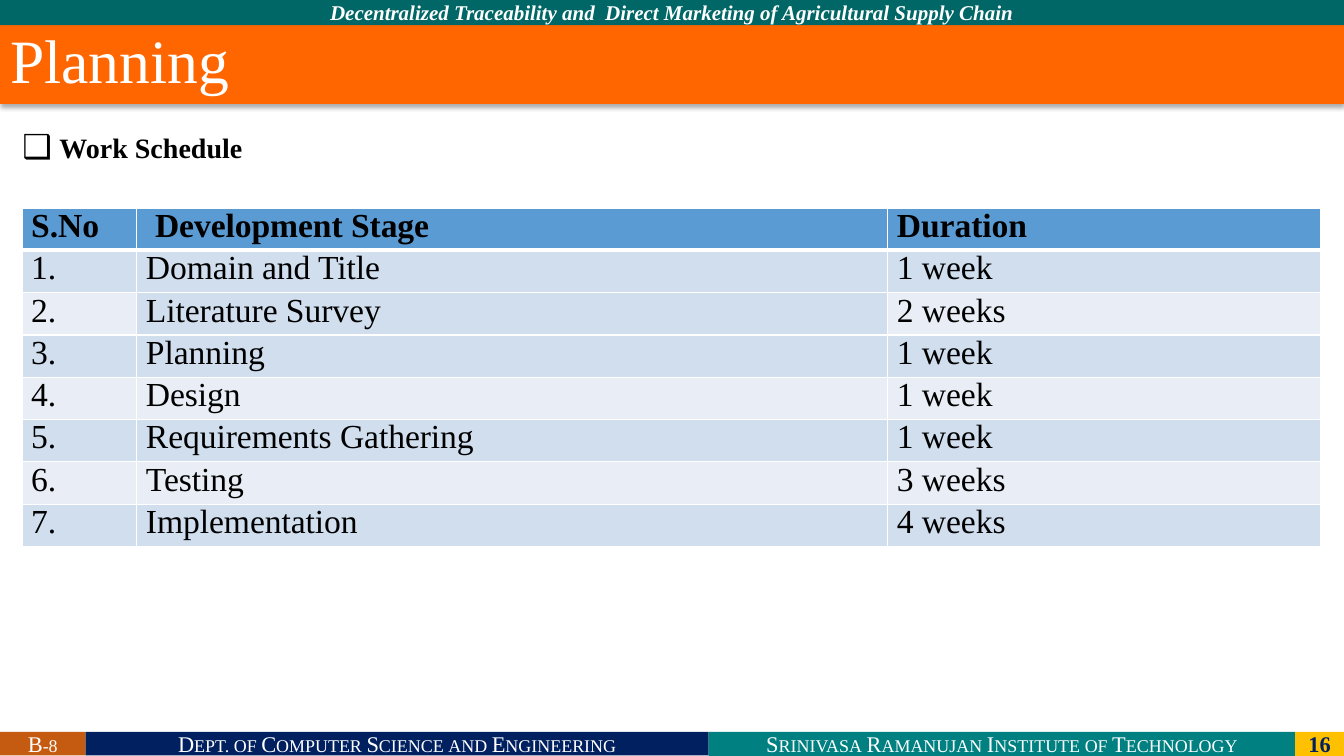
from typing import NamedTuple

from lxml import etree
from pptx import Presentation
from pptx.dml.color import RGBColor
from pptx.enum.shapes import MSO_SHAPE
from pptx.enum.text import MSO_ANCHOR, MSO_AUTO_SIZE, PP_ALIGN
from pptx.oxml.ns import qn
from pptx.util import Pt

RECTANGLE = MSO_SHAPE.RECTANGLE
TOP, MIDDLE = MSO_ANCHOR.TOP, MSO_ANCHOR.MIDDLE
CENTER, JUSTIFY = PP_ALIGN.CENTER, PP_ALIGN.JUSTIFY
NO_AUTOFIT = MSO_AUTO_SIZE.NONE

FONT = "Times New Roman"
WHITE = RGBColor(0xFF, 0xFF, 0xFF)
BLACK = RGBColor(0x00, 0x00, 0x00)
NAVY = RGBColor(0x00, 0x20, 0x60)
TEAL = RGBColor(0x00, 0x80, 0x80)
DARK_TEAL = RGBColor(0x00, 0x66, 0x66)
GOLD = RGBColor(0xFF, 0xC0, 0x00)
BROWN = RGBColor(0xC5, 0x5A, 0x11)
ORANGE = RGBColor(0xFF, 0x66, 0x00)
HEADER_BLUE = RGBColor(0x5B, 0x9B, 0xD4)
BAND_DARK = RGBColor(0xD0, 0xDE, 0xEE)
BAND_LIGHT = RGBColor(0xE9, 0xEE, 0xF6)

PAGE_WIDTH, PAGE_HEIGHT = 960, 540
FOOTER_TOP = 522.7
ROW_HEIGHT = 30.24
COLUMN_WIDTHS = (82, 536.4, 308.9)


class Bar(NamedTuple):
    text: str
    left: float
    top: float
    width: float
    height: float
    fill: RGBColor
    color: RGBColor = WHITE
    size: float = 16
    bold: bool = False
    italic: bool = False
    small_caps: bool = False


BARS = (
    Bar("Decentralized Traceability and  Direct Marketing of Agricultural Supply Chain",
        0, 0, PAGE_WIDTH, 18, DARK_TEAL, size=15, bold=True, italic=True),
    Bar("B-8", 0, FOOTER_TOP, 61.2, 16.9, BROWN, small_caps=True),
    Bar("Dept. of Computer Science and Engineering",
        61.2, FOOTER_TOP, 445, 16.9, NAVY, small_caps=True),
    Bar("Srinivasa Ramanujan Institute of Technology",
        506.2, FOOTER_TOP, 419, 17.3, TEAL, small_caps=True),
    Bar("16", 925.2, FOOTER_TOP, 34.8, 17.3, GOLD, color=NAVY, bold=True),
)

SCHEDULE = (
    ("S.No", "Development Stage", "Duration"),
    ("1.", "Domain and Title", "1 week"),
    ("2.", "Literature Survey", "2 weeks"),
    ("3.", "Planning", "1 week"),
    ("4.", "Design", "1 week"),
    ("5.", "Requirements Gathering", "1 week"),
    ("6.", "Testing", "3 weeks"),
    ("7.", "Implementation", "4 weeks"),
)


def style_text(para, size: float, color: RGBColor, bold: bool = False,
               italic: bool = False, **attributes: str) -> None:
    for span in para.runs:
        font = span.font
        font.name, font.size = FONT, Pt(size)
        font.bold, font.italic = bold, italic
        font.color.rgb = color
        for name, value in attributes.items():
            font._element.set(name, value)


def place(box, left: float, top: float, width: float, height: float) -> None:
    box.left, box.top = Pt(left), Pt(top)
    box.width, box.height = Pt(width), Pt(height)


def draw_bar(page, bar: Bar) -> None:
    box = page.shapes.add_shape(RECTANGLE, Pt(bar.left), Pt(bar.top),
                                Pt(bar.width), Pt(bar.height))
    box.shadow.inherit = False
    box.fill.solid()
    box.fill.fore_color.rgb = bar.fill
    box.line.fill.background()
    frame = box.text_frame
    frame.text = bar.text
    frame.vertical_anchor = MIDDLE
    para = frame.paragraphs[0]
    para.alignment = CENTER
    caps = {"cap": "small"} if bar.small_caps else {}
    style_text(para, bar.size, bar.color, bar.bold, bar.italic, **caps)


def draw_title(page) -> None:
    box = page.shapes.title
    place(box, 0, 18, PAGE_WIDTH, 56.2)
    box.fill.solid()
    box.fill.fore_color.rgb = ORANGE
    effects = etree.SubElement(box._element.spPr, qn("a:effectLst"))
    shadow = etree.SubElement(effects, qn("a:outerShdw"), blurRad=str(Pt(3.5)),
                              dist=str(Pt(2.2)), dir="5400000", rotWithShape="0")
    color = etree.SubElement(shadow, qn("a:srgbClr"), val=str(BLACK))
    etree.SubElement(color, qn("a:alpha"), val="32000")
    frame = box.text_frame
    frame.text = "Planning"
    frame.auto_size = NO_AUTOFIT
    frame.vertical_anchor = TOP
    para = frame.paragraphs[0]
    para.alignment = JUSTIFY
    para.line_spacing = 0.9
    style_text(para, 44, WHITE)


def draw_heading(page) -> None:
    box = page.placeholders[1]
    place(box, 7.2, 84.2, 939.6, 67.7)
    frame = box.text_frame
    frame.text = "Work Schedule"
    frame.auto_size = NO_AUTOFIT
    frame.vertical_anchor = TOP
    frame.margin_top = Pt(9)
    para = frame.paragraphs[0]
    para.space_before = Pt(0)
    properties = para._p.get_or_add_pPr()
    properties.set("marL", str(Pt(28)))
    properties.set("indent", str(Pt(-26.5)))
    etree.SubElement(properties, qn("a:buSzPct"), val="117500")
    etree.SubElement(properties, qn("a:buChar"), char="❑")
    style_text(para, 20, BLACK, bold=True)


def set_border(cell, side: str, width: float) -> None:
    line = etree.SubElement(cell._tc.get_or_add_tcPr(), qn(f"a:ln{side}"), w=str(Pt(width)))
    fill = etree.SubElement(line, qn("a:solidFill"))
    etree.SubElement(fill, qn("a:srgbClr"), val=str(WHITE))


def cell_fill(row: int, column: int) -> RGBColor:
    if row == 0:
        return HEADER_BLUE
    if row % 2 or (row, column) == (2, 1):
        return BAND_DARK
    return BAND_LIGHT


def draw_schedule(page) -> None:
    frame = page.shapes.add_table(len(SCHEDULE), len(COLUMN_WIDTHS), Pt(15.8), Pt(148.6),
                                  Pt(sum(COLUMN_WIDTHS)), Pt(ROW_HEIGHT * len(SCHEDULE)))
    table = frame.table
    table.first_row = table.horz_banding = False
    for column, width in zip(table.columns, COLUMN_WIDTHS):
        column.width = Pt(width)
    for row, texts in enumerate(SCHEDULE):
        table.rows[row].height = Pt(ROW_HEIGHT)
        for column, text in enumerate(texts):
            cell = table.cell(row, column)
            cell.text = text
            cell.margin_left = Pt(13 if (row, column) == (0, 1) else 6.5)
            cell.margin_right = cell.margin_top = cell.margin_bottom = Pt(0)
            # Borders, with a thick rule under the header
            set_border(cell, "L", 1)
            set_border(cell, "R", 1)
            set_border(cell, "T", 3 if row == 1 else 1)
            set_border(cell, "B", 3 if row == 0 else 1)
            cell.fill.solid()
            cell.fill.fore_color.rgb = cell_fill(row, column)
            para = cell.text_frame.paragraphs[0]
            para.line_spacing = Pt(26.2)
            style_text(para, 24, BLACK, bold=row == 0, spc="-5")


def main() -> None:
    deck = Presentation()
    deck.slide_width, deck.slide_height = Pt(PAGE_WIDTH), Pt(PAGE_HEIGHT)
    page = deck.slides.add_slide(deck.slide_layouts[1])

    # Header and footer bars
    for bar in BARS:
        draw_bar(page, bar)

    # Title, heading and work schedule
    draw_title(page)
    draw_heading(page)
    draw_schedule(page)
    deck.save("out.pptx")


if __name__ == "__main__":
    main()
